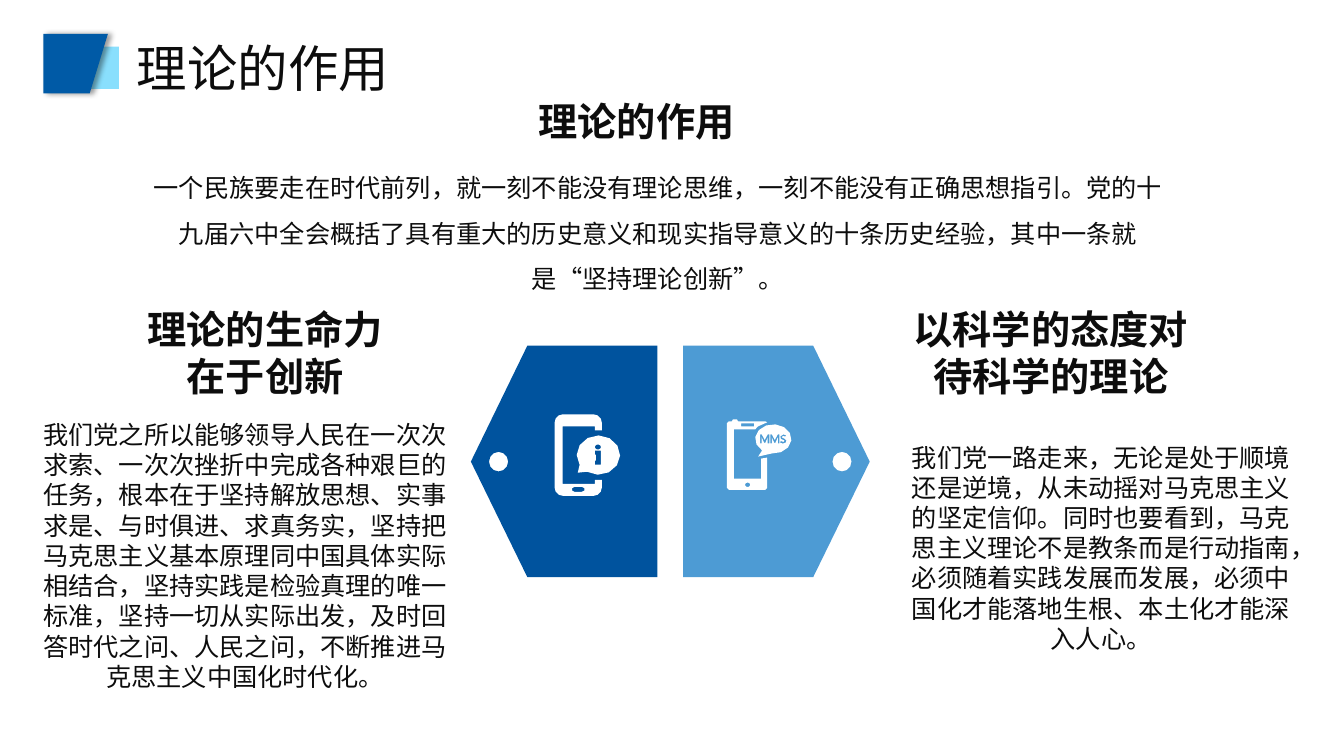
"""Builds a slide on the role of theory, laid out on a grid of tenth-inch cells."""
import math
from dataclasses import dataclass

import lxml.etree
import pptx
import pptx.dml.color
import pptx.enum.shapes
import pptx.enum.text
import pptx.oxml
import pptx.oxml.ns
import pptx.util

RGB = pptx.dml.color.RGBColor
ALIGN = pptx.enum.text.PP_ALIGN

COLS, ROWS = 133.3, 75
CELL = pptx.util.Inches(0.1)
FONT = "Noto Sans CJK SC"
INK = RGB(0x0D, 0x0D, 0x0D)
WHITE = RGB(0xFF, 0xFF, 0xFF)
NAVY = RGB(0x00, 0x53, 0x9E)
SKY = RGB(0x4D, 0x9B, 0xD4)
TITLE_BLUE = RGB(0x00, 0x5A, 0xA6)
TITLE_CYAN = RGB(0x89, 0xDF, 0xFD)

TITLE = dict(size=pptx.util.Pt(36), bold=False)
HEADING = dict(size=pptx.util.Pt(28), bold=True)
BODY = dict(size=pptx.util.Pt(18), bold=False)

Points = list[tuple[float, float]]


@dataclass
class Label:
    """A text box on the grid."""
    col: float
    row: float
    cols: float
    rows: float
    text: str
    style: dict
    align: ALIGN = ALIGN.CENTER
    wrap: bool = True
    spacing: float = 1.0


@dataclass
class Outline:
    """A filled outline whose inner contours are holes."""
    fill: RGB
    contours: list[Points]


def arc(x: float, y: float, rx: float, ry: float,
        start: float = 0, end: float = 330, count: int = 12) -> Points:
    """Return points along an ellipse, clockwise in degrees from the right."""
    angles = [math.radians(start + (end - start) * i / (count - 1)) for i in range(count)]
    return [(x + rx * math.cos(a), y + ry * math.sin(a)) for a in angles]


def corner(x: float, y: float, start: float) -> Points:
    """Return a rounded corner of the left phone."""
    return arc(x, y, 0.85, 0.85, start, start + 90, 4)


def panel(base: float, side: int, fill: RGB) -> Outline:
    """Return a pointed panel with an eyelet."""
    profile = [(0, 34.3), (12.9, 34.3), (18.5, 45.8), (12.9, 57.25), (0, 57.25)]
    return Outline(fill, [[(base + side * x, y) for x, y in profile],
                          arc(base + side * 15.75, 45.8, 0.95, 0.97)])


def shift(points: Points, col: float, row: float) -> Points:
    """Move points by columns and rows."""
    return [(col + x, row + y) for x, y in points]


LETTER_M: Points = [(0, 0), (0, 0.9), (0.15, 0.9), (0.15, 0.3), (0.4, 0.85),
                    (0.5, 0.85), (0.75, 0.3), (0.75, 0.9), (0.9, 0.9),
                    (0.9, 0), (0.75, 0), (0.45, 0.55), (0.15, 0)]
LETTER_S: Points = [(0.65, 0.1), (0.35, 0), (0.05, 0.2), (0.1, 0.45), (0.45, 0.6),
                    (0.35, 0.75), (0.1, 0.65), (0, 0.8), (0.3, 0.92), (0.6, 0.8),
                    (0.65, 0.6), (0.5, 0.45), (0.2, 0.3), (0.3, 0.15), (0.55, 0.22)]

MESSAGE_PHONE = Outline(WHITE, [
    [(75.5, 45.5), (76.1, 45.4), (76.1, 48.4), (75.9, 48.6), (72.3, 48.6),
     (72.1, 48.4), (72.1, 42), (72.3, 41.8), (72.6, 41.8), (72.7, 41.6),
     (73.1, 41.6), (73.2, 41.8), (75.9, 41.8), (76.1, 41.9), (75.2, 42.3),
     (74.9, 42.6), (72.8, 42.6), (72.8, 47.5), (75.5, 47.5)],
    [(73.5, 42), (74.8, 42), (74.8, 42.3), (73.5, 42.3)],
    arc(74.15, 48.1, 0.25, 0.22),
    arc(76.7, 43.55, 1.8, 1.45, 95, -232) + [(75.2, 45.3)],
    shift(LETTER_M, 75.4, 43.1),
    shift(LETTER_M, 76.4, 43.1),
    shift(LETTER_S, 77.35, 43.1),
])

INFO_PHONE = Outline(WHITE, [
    [(59.7, 42.7), (59, 42.7), (59, 42.3), (55.8, 42.3), (55.8, 48), (59, 48),
     (59, 47.6), (59.7, 47.6), *corner(58.85, 48.35, 0), *corner(55.85, 48.35, 90),
     *corner(55.85, 41.95, 180), *corner(58.85, 41.95, 270)],
    arc(57, 48.55, 0.3, 0.25, 90, 270, 4) + arc(57.7, 48.55, 0.3, 0.25, 270, 450, 4),
    arc(59.35, 45.15, 2.15, 1.95, 122, -210) + [(57.3, 46.9)],
    arc(59.3, 44.35, 0.3, 0.25),
    [(59, 44.7), (59.6, 44.7), (59.6, 46.1), (59, 46.1),
     (59, 45.7), (59.1, 45.7), (59.1, 45.1), (59, 45.1)],
])

TITLE_MARK = Outline(TITLE_BLUE, [[(4.3, 3.37), (10.7, 3.37), (8.9, 9.27), (4.3, 9.27)]])
OUTLINES = [panel(67.76, 1, SKY), panel(65.2, -1, NAVY), MESSAGE_PHONE, INFO_PHONE]

LABELS = [
    Label(13.15, 15.13, 104.2, 14.6,
          "一个民族要走在时代前列，就一刻不能没有理论思维，一刻不能没有正确思想指引。"
          "党的十九届六中全会概括了具有重大的历史意义和现实指导意义的十条历史经验，"
          "其中一条就是“坚持理论创新”。", BODY, spacing=1.5),
    Label(52.45, 9.2, 21.4, 5.7, "理论的作用", HEADING, ALIGN.LEFT, False),
    Label(2.65, 41.1, 43.3, 28.3,
          "我们党之所以能够领导人民在一次次求索、一次次挫折中完成各种艰巨的任务，"
          "根本在于坚持解放思想、实事求是、与时俱进、求真务实，"
          "坚持把马克思主义基本原理同中国具体实际相结合，坚持实践是检验真理的唯一标准，"
          "坚持一切从实际出发，及时回答时代之问、人民之问，"
          "不断推进马克思主义中国化时代化。", BODY),
    Label(13.5, 29.8, 25.6, 10.4, "理论的生命力在于创新", HEADING),
    Label(88.8, 43.34, 40.8, 22.2,
          "我们党一路走来，无论是处于顺境还是逆境，从未动摇对马克思主义的坚定信仰。"
          "同时也要看到，马克思主义理论不是教条而是行动指南，必须随着实践发展而发展，"
          "必须中国化才能落地生根、本土化才能深入人心。", BODY),
    Label(88.16, 29.8, 32.1, 10.4, "以科学的态度对待科学的理论", HEADING),
    Label(12.6, 3.14, 27, 7.1, "理论的作用", TITLE, ALIGN.LEFT, False),
]


def emu(cells: float) -> int:
    """Turn grid cells into a slide length."""
    return round(cells * CELL)


def paint(sp, fill: RGB) -> None:
    """Fill a shape and take off its line and shadow."""
    sp.shadow.inherit = False
    sp.fill.solid()
    sp.fill.fore_color.rgb = fill
    sp.line.fill.background()


def add_outline(s, outline: Outline):
    """Draw all contours of an outline as one shape."""
    contours = [[(emu(x), emu(y)) for x, y in points] for points in outline.contours]
    builder = s.shapes.build_freeform(*contours[0][0])
    for i, (first, *rest) in enumerate(contours):
        if i:
            builder.move_to(*first)
        builder.add_line_segments(rest, close=True)
    sp = builder.convert_to_shape()
    paint(sp, outline.fill)
    return sp


def add_shadow(sp) -> None:
    """Cast a soft shadow to the right."""
    effects = sp._element.spPr.find(pptx.oxml.ns.qn("a:effectLst"))
    effects.append(pptx.oxml.parse_xml(
        f'<a:outerShdw {pptx.oxml.ns.nsdecls("a")} blurRad="50800" dist="38100" dir="0">'
        '<a:srgbClr val="000000"><a:alpha val="40000"/></a:srgbClr></a:outerShdw>'))


def add_label(s, label: Label) -> None:
    """Write a text box."""
    box = map(emu, (label.col, label.row, label.cols, label.rows))
    tf = s.shapes.add_textbox(*box).text_frame
    tf.word_wrap = label.wrap
    p = tf.paragraphs[0]
    p.alignment, p.line_spacing = label.align, label.spacing
    r = p.add_run()
    r.text = label.text
    for name, value in dict(label.style, name=FONT).items():
        setattr(r.font, name, value)
    r.font.color.rgb = INK
    ea = lxml.etree.SubElement(r._r.get_or_add_rPr(), pptx.oxml.ns.qn("a:ea"))
    ea.set("typeface", FONT)


def main() -> None:
    """Build and save the slide."""
    prs = pptx.Presentation()
    prs.slide_width, prs.slide_height = emu(COLS), emu(ROWS)
    s = prs.slides.add_slide(prs.slide_layouts[6])
    box = map(emu, (6.9, 4.63, 4.9, 4.2))
    paint(s.shapes.add_shape(pptx.enum.shapes.MSO_SHAPE.RECTANGLE, *box), TITLE_CYAN)
    add_shadow(add_outline(s, TITLE_MARK))
    for outline in OUTLINES:
        add_outline(s, outline)
    for label in LABELS:
        add_label(s, label)
    prs.save("out.pptx")


if __name__ == "__main__":
    main()
